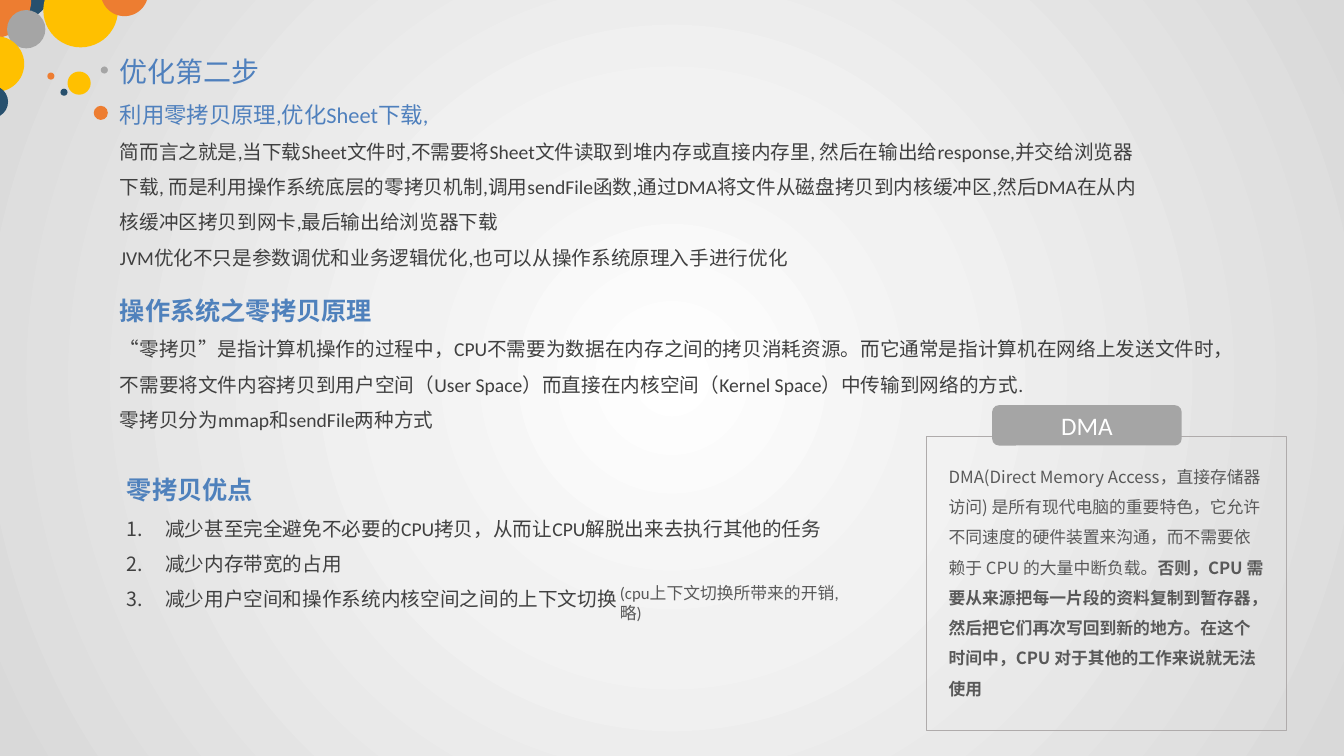
from pptx import Presentation
from pptx.dml.color import RGBColor
from pptx.enum.lang import MSO_LANGUAGE_ID
from pptx.enum.shapes import MSO_SHAPE
from pptx.enum.text import MSO_ANCHOR, MSO_AUTO_SIZE, PP_ALIGN
from pptx.oxml import parse_xml
from pptx.oxml.ns import nsdecls, qn
from pptx.util import Inches, Pt
from lxml.etree import SubElement

LATIN, HAN = "Calibri", "Noto Sans CJK SC"
NAVY, ORANGE, GRAY, YELLOW = "27506E", "ED7D31", "A5A5A5", "FFC000"

# Text styles: size, font, colour, bold
TITLE = (20, LATIN, "4F80BD", False)
SUBTITLE = (16, LATIN, "4F80BD", False)
HEADING = (18, HAN, "4F81BC", True)
BODY = (14, LATIN, "404040", False)
NOTE = (12, HAN, "595959", False)
NOTE_BOLD = (12, HAN, "595959", True)
ASIDE = (12, LATIN, "595959", False)
LABEL = (18, LATIN, "FFFFFF", False)

# Decorative circles: left, top, diameter, colour
BUBBLES = [
    (-0.13, -0.44, 0.64, NAVY), (-0.46, -0.39, 0.77, ORANGE),
    (0.07, 0.1, 0.38, GRAY), (-0.31, 0.36, 0.55, YELLOW),
    (0.43, -0.27, 0.74, YELLOW), (-0.24, 0.85, 0.32, NAVY),
    (0.67, 0.71, 0.23, YELLOW), (0.6, 0.88, 0.07, NAVY),
    (0.47, 0.72, 0.07, ORANGE), (1, 0.66, 0.07, GRAY),
    (0.93, 1.05, 0.14, ORANGE), (1, -0.31, 0.47, ORANGE),
]


def color(value):
    return RGBColor.from_string(value)


def add_span(para, text, style):
    size, font, shade, bold = style
    span = para.add_run()
    span.text = text
    span.font.size = Pt(size)
    span.font.name = font
    span.font.bold = bold
    span.font.color.rgb = color(shade)
    span.font.language_id = MSO_LANGUAGE_ID.SIMPLIFIED_CHINESE
    east_asian = SubElement(span.font._element, qn("a:ea"))
    east_asian.set("typeface", HAN)


def number_para(para):
    props = para._p.get_or_add_pPr()
    props.set("marL", str(Inches(0.38)))
    props.set("indent", str(-Inches(0.38)))
    SubElement(props, qn("a:buFont")).set("typeface", "+mj-lt")
    SubElement(props, qn("a:buAutoNum")).set("type", "arabicPeriod")


def add_text(page, box, paras, spacing=1.5, numbered=False):
    """Each para is a list of (text, style); headings keep single spacing."""
    frame = page.shapes.add_textbox(*map(Inches, box)).text_frame
    frame.word_wrap = True
    frame.auto_size = MSO_AUTO_SIZE.SHAPE_TO_FIT_TEXT
    for index, spans in enumerate(paras):
        para = frame.add_paragraph() if index else frame.paragraphs[0]
        heading = spans[0][1] is HEADING
        para.line_spacing = 1.0 if heading else spacing
        if numbered and not heading:
            number_para(para)
        for text, style in spans:
            add_span(para, text, style)


def add_plain_shape(page, kind, box, fill=None, line=None):
    shape = page.shapes.add_shape(kind, *map(Inches, box))
    shape.shadow.inherit = False
    if fill:
        shape.fill.solid()
        shape.fill.fore_color.rgb = color(fill)
    else:
        shape.fill.background()
    if line:
        shape.line.color.rgb = color(line)
        shape.line.width = Pt(1)
    else:
        shape.line.fill.background()
    return shape


def add_background(page):
    stops = "".join(
        f'<a:gs pos="{position * 1000}"><a:srgbClr val="{shade}"/></a:gs>'
        for position, shade in [(0, "FFFFFF"), (35, "F2F2F2"), (100, "D9D9D9")])
    page.element.cSld.insert(0, parse_xml(
        f'<p:bg {nsdecls("p", "a")}><p:bgPr><a:gradFill rotWithShape="1">'
        f'<a:gsLst>{stops}</a:gsLst><a:path path="circle">'
        '<a:fillToRect l="50000" t="50000" r="50000" b="50000"/></a:path>'
        '</a:gradFill><a:effectLst/></p:bgPr></p:bg>'))


def add_bubbles(page, left, top):
    for x, y, diameter, fill in BUBBLES:
        add_plain_shape(page, MSO_SHAPE.OVAL,
                        (left + x, top + y, diameter, diameter), fill)


def add_section(page, box, heading, lines, numbered=False):
    paras = [[(heading, HEADING)]] + [[(line, BODY)] for line in lines]
    add_text(page, box, paras, numbered=numbered)


def add_advantages(page, box):
    left, top, width, height = box
    add_section(page, box, "零拷贝优点", [
        "减少甚至完全避免不必要的CPU拷贝，从而让CPU解脱出来去执行其他的任务",
        "减少内存带宽的占用",
        "减少用户空间和操作系统内核空间之间的上下文切换",
    ], numbered=True)
    add_text(page, (left + 4.89, top + 1.07, 2.57, 0.3),
             [[("(cpu上下文切换所带来的开销,略)", ASIDE)]], spacing=1.0)


def add_dma_card(page, box):
    left, top, width, height = box
    add_text(page, (left + 0.12, top + 0.15, width - 0.22, 2.49), [[
        ("DMA(Direct Memory Access，直接存储器访问) 是所有现代电脑的重要特色，"
         "它允许不同速度的硬件装置来沟通，而不需要依赖于 CPU 的大量中断负载。", NOTE),
        ("否则，CPU 需要从来源把每一片段的资料复制到暂存器，然后把它们再次写回到"
         "新的地方。在这个时间中，CPU 对于其他的工作来说就无法使用", NOTE_BOLD),
    ]])
    add_plain_shape(page, MSO_SHAPE.RECTANGLE, box, line="AFABAB")
    # Title tab over the top edge
    tab = add_plain_shape(page, MSO_SHAPE.ROUNDED_RECTANGLE,
                          (left + 0.65, top - 0.31, 1.88, 0.4), GRAY)
    frame = tab.text_frame
    frame.margin_top = frame.margin_bottom = 0
    frame.vertical_anchor = MSO_ANCHOR.MIDDLE
    para = frame.paragraphs[0]
    para.alignment = PP_ALIGN.CENTER
    add_span(para, "DMA", LABEL)


def main():
    deck = Presentation()
    deck.slide_width, deck.slide_height = Inches(13.33), Inches(7.5)
    page = deck.slides.add_slide(deck.slide_layouts[6])
    add_background(page)
    add_bubbles(page, 0, 0)
    # Second optimisation step
    add_text(page, (1.09, 0.32, 10.44, 2.39), [
        [("优化第二步", TITLE)],
        [("利用零拷贝原理,优化Sheet下载,", SUBTITLE)],
        [("简而言之就是,当下载Sheet文件时,不需要将Sheet文件读取到堆内存或直接内存里, "
          "然后在输出给response,并交给浏览器下载, 而是利用操作系统底层的零拷贝机制,"
          "调用sendFile函数,通过DMA将文件从磁盘拷贝到内核缓冲区,"
          "然后DMA在从内核缓冲区拷贝到网卡,最后输出给浏览器下载", BODY)],
        [("JVM优化不只是参数调优和业务逻辑优化,也可以从操作系统原理入手进行优化", BODY)],
    ])
    # Zero-copy principle and advantages
    add_section(page, (1.09, 2.88, 12.17, 1.43), "操作系统之零拷贝原理", [
        "“零拷贝”是指计算机操作的过程中，CPU不需要为数据在内存之间的拷贝消耗资源。"
        "而它通常是指计算机在网络上发送文件时，",
        "不需要将文件内容拷贝到用户空间（User Space）而直接在内核空间"
        "（Kernel Space）中传输到网络的方式.",
        "零拷贝分为mmap和sendFile两种方式",
    ])
    add_advantages(page, (1.16, 4.66, 12.17, 1.43))
    add_dma_card(page, (9.19, 4.33, 3.57, 2.92))
    deck.save("out.pptx")


if __name__ == "__main__":
    main()
